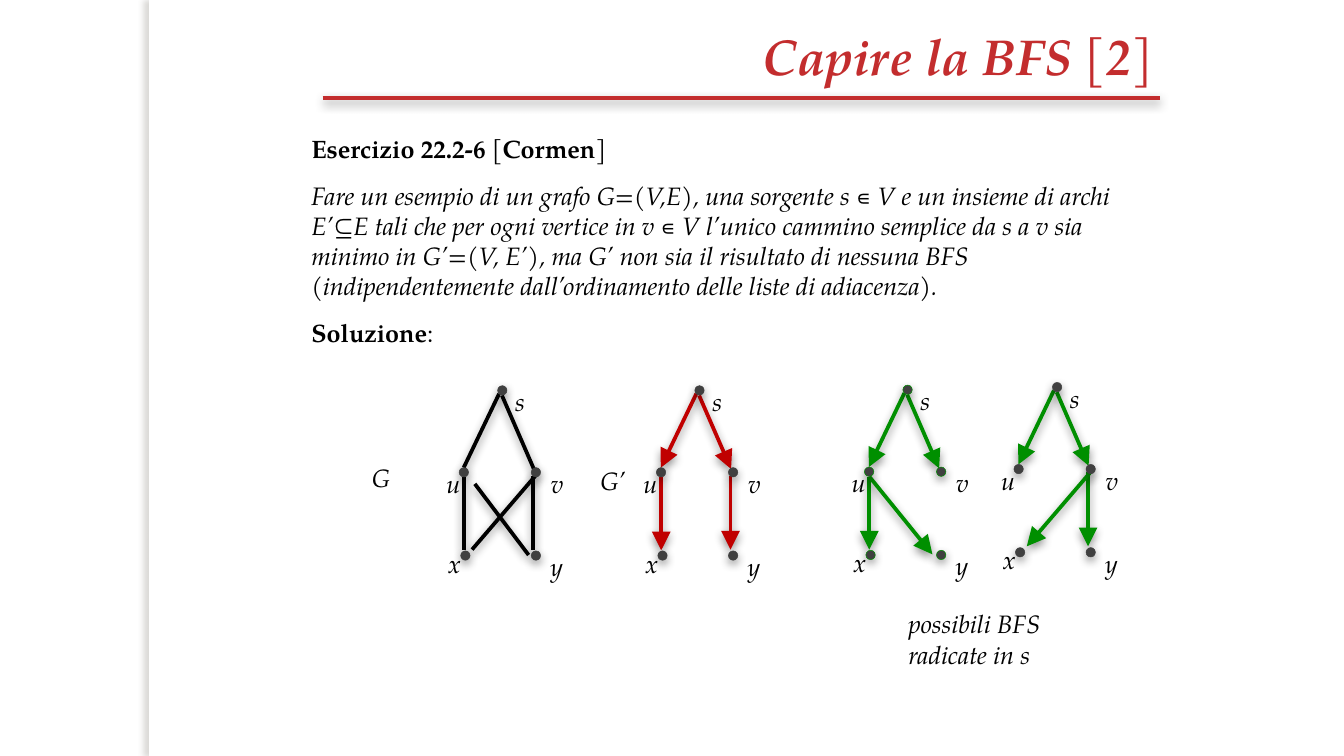
from dataclasses import dataclass

from lxml import etree
from pptx import Presentation
from pptx.dml.color import RGBColor
from pptx.enum.shapes import MSO_CONNECTOR, MSO_SHAPE
from pptx.enum.text import MSO_ANCHOR, MSO_AUTO_SIZE, PP_ALIGN
from pptx.oxml.ns import qn
from pptx.util import Pt

STRAIGHT = MSO_CONNECTOR.STRAIGHT
RECT, OVAL = MSO_SHAPE.RECTANGLE, MSO_SHAPE.OVAL
BOTTOM = MSO_ANCHOR.BOTTOM
NO_FIT, GROW = MSO_AUTO_SIZE.NONE, MSO_AUTO_SIZE.SHAPE_TO_FIT_TEXT
RIGHT = PP_ALIGN.RIGHT

FONT = "TeX Gyre Pagella"
RED, BLACK, GREY, GREEN = "C32D2E", "000000", "404040", "008F00"
DOT = 5.04


@dataclass(frozen=True)
class Shadow:
    color: str
    alpha: int
    blur: float
    dist: float
    angle: int


@dataclass(frozen=True)
class Graph:
    left: float
    top: float
    color: str
    outline: str
    edges: tuple[str, ...]
    arrows: bool = True


SOFT = Shadow(BLACK, 43, 5, 2, 90)
SIDE = Shadow("736F63", 25, 3, 3, 180)

NODES = {"s": (0, 0), "u": (-20.6, 43.9), "v": (18, 43.9),
         "x": (-19.8, 88.5), "y": (18, 88.5)}
LABELS = {"s": (2.3, -3.2, 20.2), "u": (-34.6, 40.8, 22.3), "v": (21.5, 40.8, 21.6),
          "x": (-33.6, 83.4, 21.2), "y": (21.2, 85.2, 21.6)}
EDGES = {"su": (0.8, 4.3, -18.2, 43.9), "sv": (2.3, 5.2, 19.4, 44.6),
         "ux": (-18, 49, -18, 88.2), "vy": (19.1, 48.2, 19.1, 87.8),
         "vx": (20.9, 47.5, -13.7, 87.8), "uy": (-18, 49, 15.8, 90.7),
         "uy detached": (-12.2, 52.6, 16.6, 90.7)}
GRAPHS = (
    Graph(372.24, 206.64, "C00000", GREY, ("su", "sv", "vy", "ux")),
    Graph(266.6, 206.64, BLACK, GREY,
          ("su", "sv", "vy", "ux", "vx", "uy detached"), arrows=False),
    Graph(483.7, 206.3, GREEN, GREEN, ("su", "sv", "ux", "uy")),
    Graph(563.8, 204.9, GREEN, GREY, ("su", "sv", "vy", "vx")),
)

TITLE = (("Capire la BFS ", "bi"), ("[", ""), ("2", "bi"), ("]", ""))
EXERCISE = (
    (("Esercizio 22.2-6 ", "b"), ("[", ""), ("Cormen", "b"), ("]", "")),
    (("Fare un esempio di un grafo G=(V,E), una sorgente s ", "i"), ("∊ ", ""),
     ("V e un insieme di archi E’", "i"), ("⊆", ""),
     ("E tali che per ogni vertice in v ", "i"), ("∊ ", ""),
     ("V l’unico cammino semplice da s a v sia minimo in G’=(V, E’), ma G’ non sia "
      "il risultato di nessuna BFS (indipendentemente dall’ordinamento delle liste "
      "di adiacenza).", "i")),
    (("Soluzione", "b"), (":", "")),
)


def rgb(color: str) -> RGBColor:
    return RGBColor.from_string(color)


def set_shadow(sp, shadow: Shadow) -> None:
    effects = etree.SubElement(sp._element.spPr, qn("a:effectLst"))
    outer = etree.SubElement(effects, qn("a:outerShdw"), blurRad=str(Pt(shadow.blur)),
                             dist=str(Pt(shadow.dist)), dir=str(shadow.angle * 60000),
                             algn="ctr", rotWithShape="0")
    color = etree.SubElement(outer, qn("a:srgbClr"), val=shadow.color)
    etree.SubElement(color, qn("a:alpha"), val=str(shadow.alpha * 1000))


def set_font(p, size: float, color: str) -> None:
    p.font.name = FONT
    p.font.size = Pt(size)
    p.font.color.rgb = rgb(color)


def add_runs(p, runs: tuple) -> None:
    for text, style in runs:
        r = p.add_run()
        r.text = text
        r.font.bold = "b" in style
        r.font.italic = "i" in style


def add_line(shapes, x1: float, y1: float, x2: float, y2: float, color: str,
             arrow: bool = False) -> None:
    line = shapes.add_connector(STRAIGHT, Pt(x1), Pt(y1), Pt(x2), Pt(y2))
    line.line.color.rgb = rgb(color)
    line.line.width = Pt(2)
    if arrow:
        ln = line._element.spPr.find(qn("a:ln"))
        etree.SubElement(ln, qn("a:tailEnd"), type="triangle", w="lg", len="lg")
    set_shadow(line, SOFT)


def add_label(shapes, text: str, left: float, top: float, width: float,
              height: float = 23.8) -> None:
    box = shapes.add_textbox(Pt(left), Pt(top), Pt(width), Pt(height))
    tf = box.text_frame
    tf.word_wrap = False
    tf.auto_size = GROW
    tf.text = text
    for p in tf.paragraphs:
        set_font(p, 13.5, BLACK)
        p.font.italic = True


def add_graph(shapes, graph: Graph) -> None:
    group = shapes.add_group_shape().shapes
    for name in graph.edges:
        x1, y1, x2, y2 = EDGES[name]
        add_line(group, graph.left + x1, graph.top + y1, graph.left + x2,
                 graph.top + y2, graph.color, graph.arrows)
    for name, (x, y) in NODES.items():
        dot = group.add_shape(OVAL, Pt(graph.left + x), Pt(graph.top + y), Pt(DOT), Pt(DOT))
        dot.fill.solid()
        dot.fill.fore_color.rgb = rgb(GREY)
        dot.line.color.rgb = rgb(graph.outline)
        dot.line.width = Pt(0.25)
        set_shadow(dot, SOFT)
        x, y, width = LABELS[name]
        add_label(group, name, graph.left + x, graph.top + y, width)


def add_title(s) -> None:
    title = s.shapes.title
    title.left, title.top, title.width, title.height = Pt(159.8), Pt(7.9), Pt(465.1), Pt(41.8)
    tf = title.text_frame
    tf.vertical_anchor = BOTTOM
    tf.auto_size = NO_FIT
    p = tf.paragraphs[0]
    p.alignment = RIGHT
    set_font(p, 27, RED)
    add_runs(p, TITLE)
    add_line(s.shapes, 172.8, 52.6, 621.4, 52.6, RED)


def add_exercise(shapes) -> None:
    tf = shapes.add_textbox(Pt(159.8), Pt(67.7), Pt(450.7), Pt(123.8)).text_frame
    tf.word_wrap = True
    tf.auto_size = GROW
    for i, runs in enumerate(EXERCISE):
        p = tf.add_paragraph() if i else tf.paragraphs[0]
        p.space_after = Pt(9)
        set_font(p, 13.5, BLACK)
        add_runs(p, runs)


def add_side_bar(shapes) -> None:
    bar = shapes.add_shape(RECT, Pt(79.9), Pt(0), Pt(5.8), Pt(405))
    bar.fill.solid()
    bar.fill.fore_color.rgb = rgb("FFFFFF")
    bar.line.fill.background()
    set_shadow(bar, SIDE)


prs = Presentation()
prs.slide_width, prs.slide_height = Pt(720), Pt(405)
s = prs.slides.add_slide(prs.slide_layouts[5])
add_side_bar(s.shapes)
add_title(s)
add_exercise(s.shapes)
for graph in GRAPHS:
    add_graph(s.shapes, graph)
add_label(s.shapes, "G", 192.2, 244.1, 24.5)
add_label(s.shapes, "G’", 314.6, 245.5, 28.1)
add_label(s.shapes, "possibili BFS\nradicate in s", 479.5, 322.6, 86.4, 40.3)
prs.save("out.pptx")
